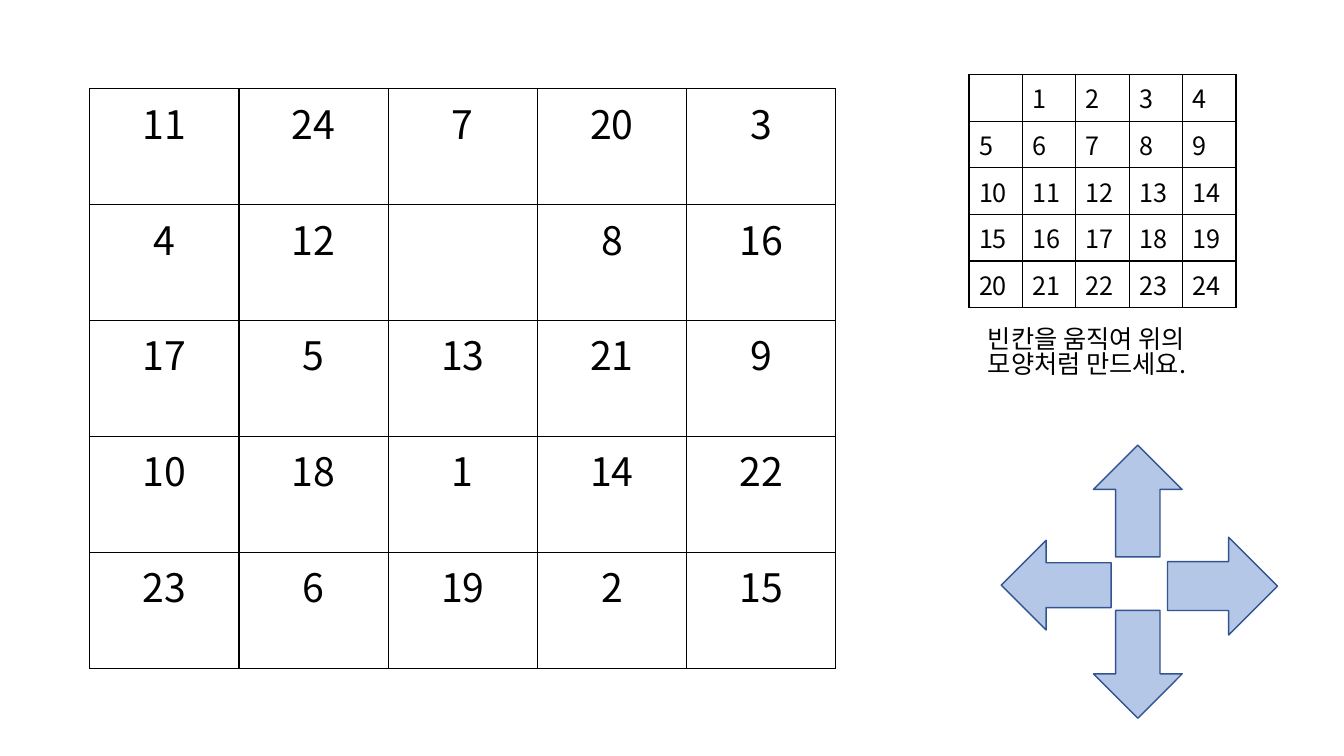
from lxml.etree import SubElement
from pptx import Presentation
from pptx.dml.color import RGBColor
from pptx.enum.shapes import MSO_SHAPE as Shape
from pptx.enum.text import PP_ALIGN as Align
from pptx.oxml import parse_xml
from pptx.oxml.ns import nsdecls, qn
from pptx.util import Inches, Pt


def color(value):
    return RGBColor.from_string(value)


class Painter:
    font = "Noto Sans CJK KR"
    ink = "000000"
    arrow_fill = "B4C7E7"
    arrow_line = "325491"

    def __init__(self, slide):
        self.slide = slide

    def add_text(self, frame, text, size, align=Align.LEFT, spacing=None):
        para = frame.paragraphs[0]
        for name, value in {"alignment": align, "line_spacing": spacing}.items():
            setattr(para, name, value)
        span = para.add_run()
        span.text = text
        for name, value in {"size": Pt(size), "name": self.font}.items():
            setattr(span.font, name, value)
        span.font.color.rgb = color(self.ink)
        SubElement(span._r.get_or_add_rPr(), qn("a:ea"), typeface=self.font)

    def border(self, cell):
        properties = cell._tc.get_or_add_tcPr()
        for position, side in enumerate(("lnL", "lnR", "lnT", "lnB")):
            line = parse_xml(
                f'<a:{side} {nsdecls("a")} w="{Pt(1)}"><a:solidFill>'
                f'<a:srgbClr val="{self.ink}"/></a:solidFill></a:{side}>')
            properties.insert(position, line)

    def grid(self, rows, left, top, column_width, row_height, size, align):
        count = len(rows[0])
        table = self.slide.shapes.add_table(
            len(rows), count, Inches(left), Inches(top),
            Inches(column_width * count), Inches(row_height * len(rows))).table
        for column in table.columns:
            column.width = Inches(column_width)
        for row, numbers in zip(table.rows, rows):
            row.height = Inches(row_height)
            for cell, number in zip(row.cells, numbers):
                cell.fill.background()
                self.border(cell)
                if number:
                    self.add_text(cell.text_frame, str(number), size, align)

    def label(self, text, left, top, width, height, size):
        box = self.slide.shapes.add_textbox(*map(Inches, (left, top, width, height)))
        box.text_frame.word_wrap = True
        self.add_text(box.text_frame, text, size, spacing=0.82)

    def arrow(self, left, top, width, height, rotation):
        shape = self.slide.shapes.add_shape(
            Shape.RIGHT_ARROW, *map(Inches, (left, top, width, height)))
        shape.rotation = rotation
        shape.shadow.inherit = False
        shape.fill.solid()
        shape.fill.fore_color.rgb = color(self.arrow_fill)
        shape.line.color.rgb = color(self.arrow_line)
        shape.line.width = Pt(1)


deck = Presentation()
deck.slide_width, deck.slide_height = Inches(13.33), Inches(7.5)
painter = Painter(deck.slides.add_slide(deck.slide_layouts[6]))

puzzle = [
    [11, 24, 7, 20, 3],
    [4, 12, 0, 8, 16],
    [17, 5, 13, 21, 9],
    [10, 18, 1, 14, 22],
    [23, 6, 19, 2, 15],
]
goal = [list(range(start, start + 5)) for start in range(0, 25, 5)]
painter.grid(puzzle, 0.89, 0.88, 1.48, 1.15, 28, Align.CENTER)
painter.grid(goal, 9.61, 0.74, 0.53, 0.42, 18, Align.LEFT)
painter.label("빈칸을 움직여 위의 모양처럼 만드세요.", 9.7, 3.21, 2.55, 0.71, 18)

for arrow in (
    (9.93, 5.36, 1.09, 0.89, 180),
    (11.58, 5.33, 1.09, 0.97, 0),
    (10.75, 6.15, 1.07, 0.88, 90),
    (10.73, 4.53, 1.11, 0.88, 270),
):
    painter.arrow(*arrow)

deck.save("out.pptx")
